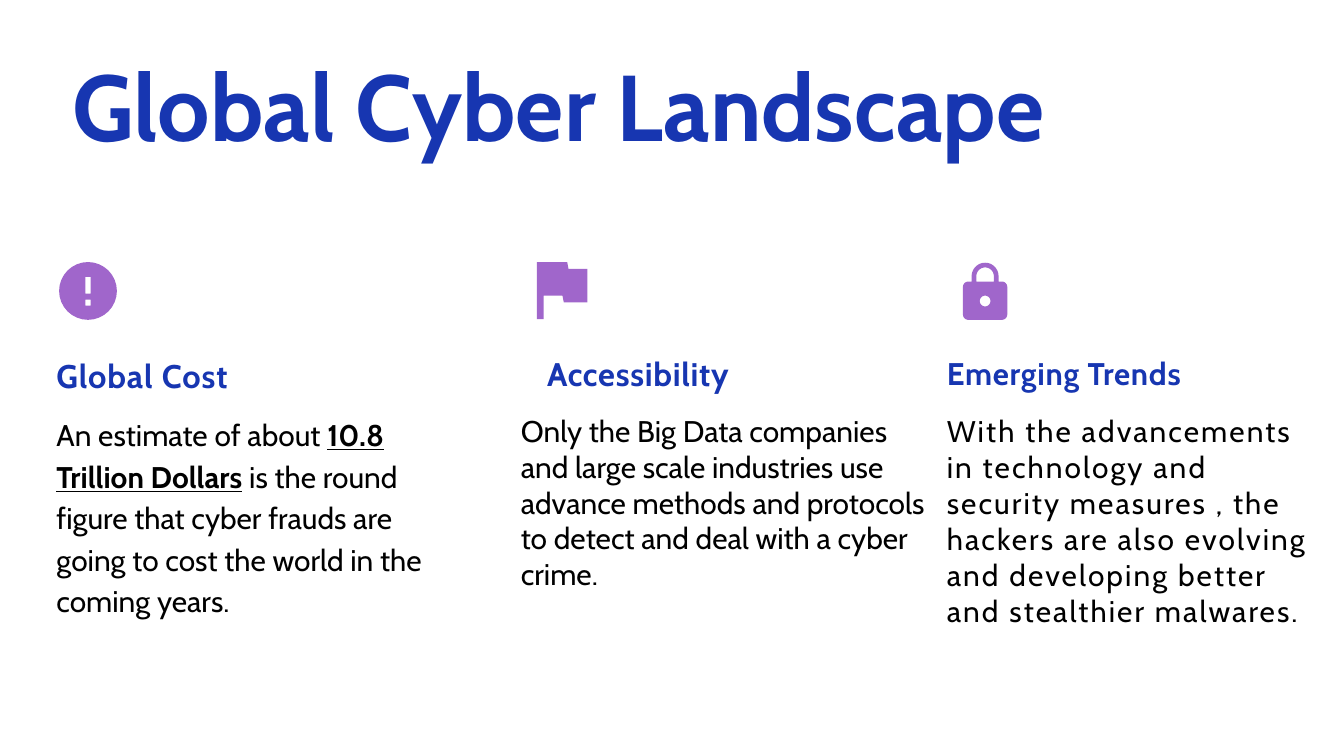
from dataclasses import dataclass
from math import cos, radians, sin

from pptx import Presentation
from pptx import util as u
from pptx.dml.color import RGBColor


@dataclass(frozen=True)
class Theme:
    font: str = "Cabin"
    blue: str = "1736B1"
    black: str = "000000"
    purple: str = "A066CB"
    title_size: float = 100
    heading_size: float = 35
    small_heading_size: float = 33.5
    body_size: float = 32


def arc(x, y, radius, start=0, end=360, steps=32):
    angles = [radians(start + (end - start) * i / steps) for i in range(steps + 1)]
    return [(x + radius * cos(a), y + radius * sin(a)) for a in angles]


def rectangle(left, top, right, bottom):
    return [(left, top), (left, bottom), (right, bottom), (right, top)]


def rounded(left, top, right, bottom, radius):
    corners = [(right - radius, bottom - radius), (left + radius, bottom - radius),
               (left + radius, top + radius), (right - radius, top + radius)]
    return [point for i, (x, y) in enumerate(corners)
            for point in arc(x, y, radius, 90 * i, 90 * i + 90, 6)]


class SlideBuilder:
    columns, rows = 20, 11.25

    def __init__(self, deck, theme):
        self.theme = theme
        self.column = deck.slide_width / self.columns
        self.row = deck.slide_height / self.rows
        self.page = deck.slides.add_slide(deck.slide_layouts[6])

    def place(self, x, y):
        return round(x * self.column), round(y * self.row)

    def text_box(self, left, top, width, height, inset):
        box = self.page.shapes.add_textbox(*self.place(left, top), *self.place(width, height))
        frame = box.text_frame
        margins = {"margin_left": 0, "margin_right": 0, "margin_bottom": 0,
                   "margin_top": u.Inches(inset), "word_wrap": True}
        for name, value in margins.items():
            setattr(frame, name, value)
        return frame

    def fill_para(self, para, spans, size, color, spacing=0, indent=0.01, **layout):
        para._p.get_or_add_pPr().set("marL", str(u.Inches(indent)))
        for name, value in layout.items():
            setattr(para, name, value)
        for content, style in spans:
            span = para.add_run()
            span.text = content
            values = {"name": self.theme.font, "size": u.Pt(size), "bold": False} | style
            for name, value in values.items():
                setattr(span.font, name, value)
            span.font.color.rgb = RGBColor.from_string(color)
            span._r.get_or_add_rPr().set("spc", str(round(spacing * 100)))

    def title(self, content):
        frame = self.text_box(1.07, 0.71, 17.87, 2.53, 0.01)
        self.fill_para(frame.paragraphs[0], [(content, {"bold": True})],
                       self.theme.title_size, self.theme.blue)

    def topic(self, area, inset, heading, heading_format, spans, body_format):
        frame = self.text_box(*area, inset)
        heading_values = {"size": self.theme.heading_size, "spacing": 0.8} | heading_format
        self.fill_para(frame.paragraphs[0], [(heading, {"bold": True})],
                       color=self.theme.blue, **heading_values)
        self.fill_para(frame.add_paragraph(), spans, self.theme.body_size,
                       self.theme.black, **body_format)

    def icon(self, *outlines):
        first, *others = [[self.place(*point) for point in outline] for outline in outlines]
        builder = self.page.shapes.build_freeform(*first[0])
        builder.add_line_segments(first[1:], close=True)
        for outline in others:
            builder.move_to(*outline[0])
            builder.add_line_segments(outline[1:], close=True)
        shape = builder.convert_to_shape()
        shape.shadow.inherit = False
        shape.fill.solid()
        shape.fill.fore_color.rgb = RGBColor.from_string(self.theme.purple)
        shape.line.fill.background()


def main():
    deck = Presentation()
    deck.slide_width, deck.slide_height = u.Inches(20), u.Inches(11.25)
    theme = Theme()
    slide = SlideBuilder(deck, theme)
    top = 4.96

    slide.topic(
        (0.83, top, 5.9, 4.28), 0.34, "Global Cost", {"spacing": 1},
        [("An estimate of about ", {}),
         ("10.8 Trillion Dollars", {"bold": True, "underline": True}),
         (" is the round figure that cyber frauds are going to cost the world "
          "in the coming years.", {})],
        {"space_before": u.Pt(16.9), "line_spacing": 1.16})
    slide.topic(
        (7.74, top, 6.08, 3.88), 0.3, "Accessibility", {"indent": 0.4},
        [("Only the Big Data companies and large scale industries use advance "
          "methods and protocols to detect and deal with a cyber crime.", {})],
        {"space_before": u.Pt(21.3)})
    slide.topic(
        (14.08, top, 5.48, 4.97), 0.31, "Emerging Trends", {"size": theme.small_heading_size},
        [("With the advancements in technology and security measures , the hackers "
          "are also evolving and developing better and stealthier malwares.", {})],
        {"space_before": u.Pt(22.9), "spacing": 2.2})
    slide.title("Global Cyber Landscape")

    slide.icon(arc(1.31, 4.33, 0.43),
               rectangle(1.27, 4.12, 1.35, 4.37),
               rectangle(1.27, 4.46, 1.35, 4.55))
    slide.icon([(7.99, 4.75), (7.99, 3.9), (8.44, 3.9), (8.46, 4), (8.74, 4),
                (8.74, 4.5), (8.39, 4.5), (8.37, 4.4), (8.09, 4.4), (8.09, 4.75)])
    shackle = [(14.46, 4.19), *arc(14.66, 4.11, 0.2, 180, 360), (14.86, 4.19),
               (14.79, 4.19), *arc(14.66, 4.11, 0.13, 360, 180), (14.53, 4.19)]
    slide.icon(rounded(14.33, 4.19, 14.99, 4.76, 0.08),
               arc(14.66, 4.48, 0.08, 360, 0), shackle)

    deck.save("out.pptx")


if __name__ == "__main__":
    main()
